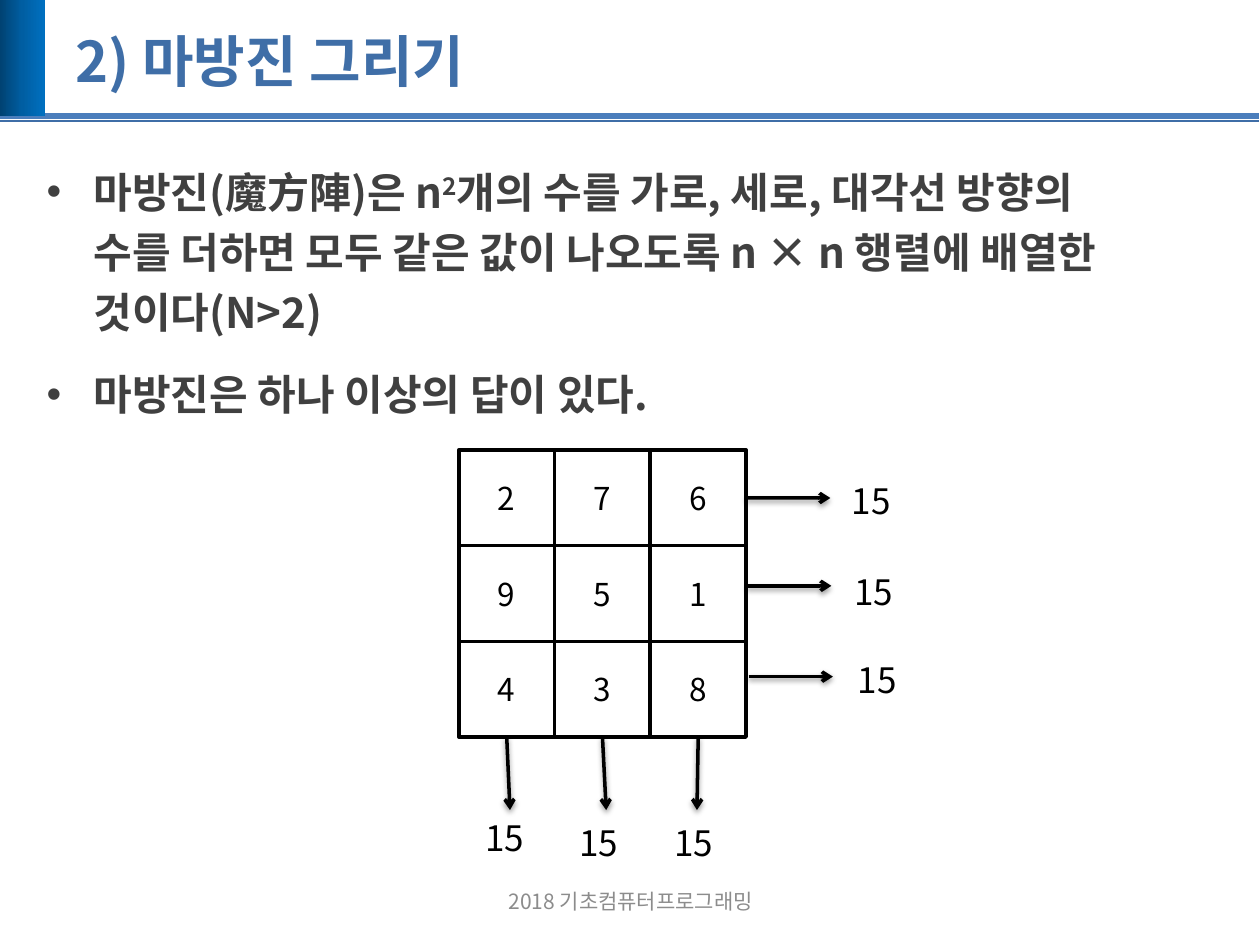
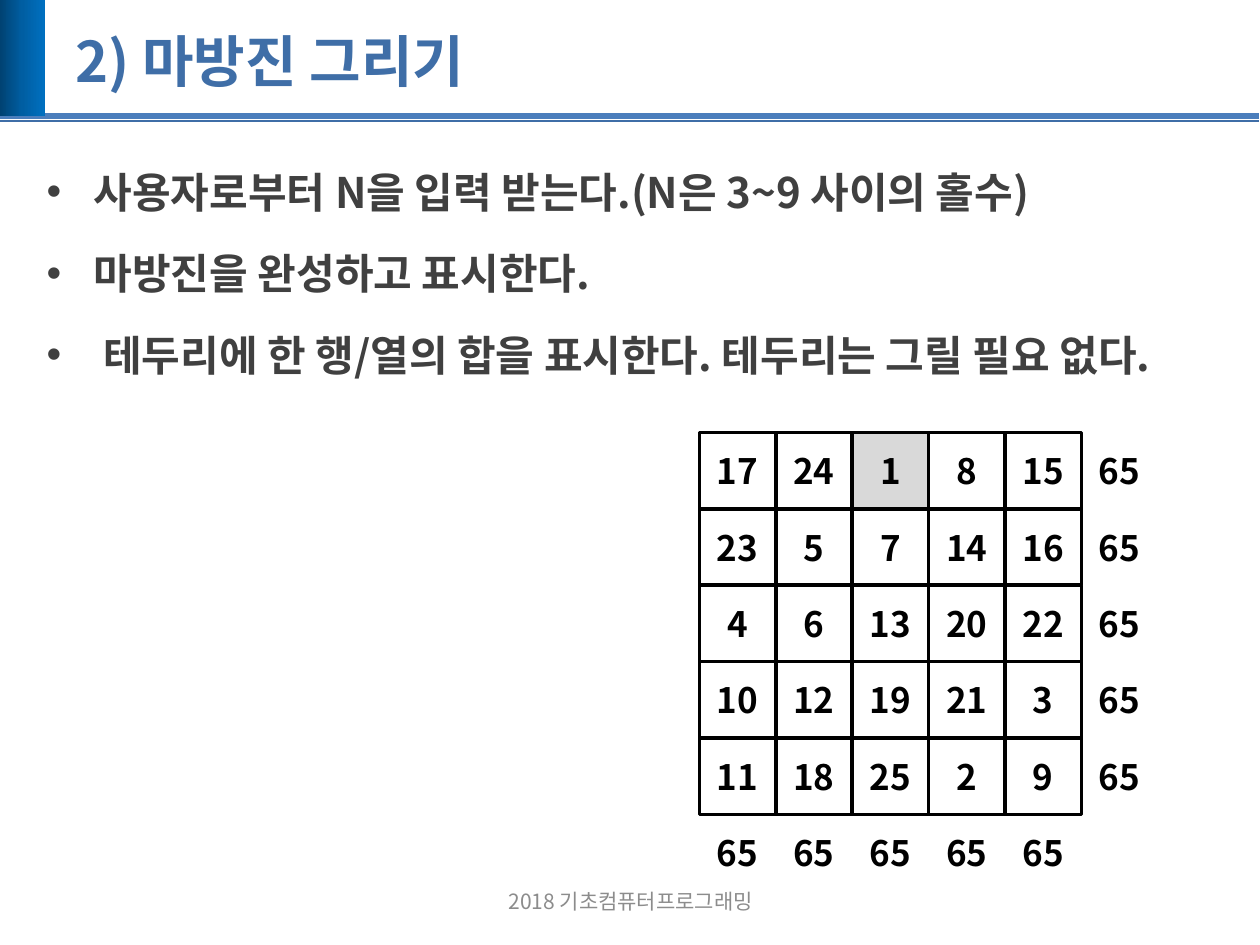
from copy import deepcopy

from lxml.etree import SubElement
from pptx import Presentation
from pptx.dml.color import RGBColor
from pptx.enum.shapes import MSO_CONNECTOR as Connector, MSO_SHAPE as Shape
from pptx.enum.text import MSO_ANCHOR as Anchor, PP_ALIGN as Align
from pptx.oxml.ns import qn
from pptx.util import Cm, Pt

# Shared style
FONT = "Noto Sans CJK KR"
TITLE_BLUE = RGBColor(0x3F, 0x6E, 0xA7)
RULE_BLUE = RGBColor(0x4B, 0x7E, 0xBC)
BAND_STOPS = [(0, RGBColor(0x00, 0x42, 0x72)),
              (0.5, RGBColor(0x00, 0x5E, 0xA2)),
              (1, RGBColor(0x00, 0x70, 0xC0))]
BODY_GRAY = RGBColor(0x40, 0x40, 0x40)
FOOTER_GRAY = RGBColor(0x8C, 0x8C, 0x8C)
START_GRAY = RGBColor(0xD9, 0xD9, 0xD9)
BLACK = RGBColor(0, 0, 0)
WHITE = RGBColor(0xFF, 0xFF, 0xFF)

TITLE = "2) 마방진 그리기"
FOOTER = "2018 기초컴퓨터프로그래밍"

# Slide content: a bullet is a list of (text, is_superscript) runs
DEFINITION_BULLETS = [
    [("마방진(魔方陣)은 n", False), ("2", True),
     ("개의 수를 가로, 세로, 대각선 방향의 수를 더하면 모두 같은 값이 "
      "나오도록 n × n 행렬에 배열한 것이다(N>2)", False)],
    [("마방진은 하나 이상의 답이 있다.", False)],
]
TASK_BULLETS = [
    [("사용자로부터 N을 입력 받는다.(N은 3~9 사이의 홀수)", False)],
    [("마방진을 완성하고 표시한다.", False)],
    [(" 테두리에 한 행/열의 합을 표시한다. 테두리는 그릴 필요 없다.", False)],
]
SQUARE_3 = [[2, 7, 6], [9, 5, 1], [4, 3, 8]]
SQUARE_5 = [[17, 24, 1, 8, 15], [23, 5, 7, 14, 16], [4, 6, 13, 20, 22],
            [10, 12, 19, 21, 3], [11, 18, 25, 2, 9]]


def style(paragraph, size, color, bold=False, align=Align.LEFT):
    paragraph.alignment = align
    font = paragraph.font
    font.size, font.bold = Pt(size), bold
    font.color.rgb = color
    font.name = FONT
    defaults = paragraph._p.pPr.find(qn("a:defRPr"))
    SubElement(defaults, qn("a:ea"), typeface=FONT)


def add_text(slide, text, left, top, width, height, size, color=BLACK,
             bold=False, align=Align.CENTER, anchor=Anchor.MIDDLE, wrap=True):
    box = slide.shapes.add_textbox(Cm(left), Cm(top), Cm(width), Cm(height))
    frame = box.text_frame
    frame.word_wrap, frame.vertical_anchor = wrap, anchor
    frame.text = text
    style(frame.paragraphs[0], size, color, bold, align)
    return box


def add_line(slide, start, end, color, width):
    x1, y1, x2, y2 = (Cm(value) for value in (*start, *end))
    line = slide.shapes.add_connector(Connector.STRAIGHT, x1, y1, x2, y2)
    line.line.color.rgb, line.line.width = color, Pt(width)
    SubElement(line._element.spPr, qn("a:effectLst"))
    return line


def add_arrow(slide, start, end):
    arrow = add_line(slide, start, end, BLACK, 2)
    properties = arrow._element.spPr
    SubElement(properties.find(qn("a:ln")), qn("a:tailEnd"), type="arrow")
    shadow = SubElement(properties.find(qn("a:effectLst")), qn("a:outerShdw"),
                        blurRad=str(Pt(3.1)), dist=str(Pt(1.6)),
                        dir="5400000", rotWithShape="0")
    color = SubElement(shadow, qn("a:srgbClr"), val="000000")
    SubElement(color, qn("a:alpha"), val="38000")
    return arrow


def add_rectangle(slide, left, top, width, height):
    shape = slide.shapes.add_shape(Shape.RECTANGLE, Cm(left), Cm(top),
                                   Cm(width), Cm(height))
    shape.shadow.inherit = False
    return shape


def add_frame(slide):
    """Rules, gradient band, title and footer."""
    add_line(slide, (-0.02, 2.34), (25.38, 2.34), RULE_BLUE, 3)
    add_line(slide, (-0.02, 2.44), (25.38, 2.44), TITLE_BLUE, 1)
    band = add_rectangle(slide, 0, 0, 0.9, 2.34)
    band.line.fill.background()
    band.fill.gradient()
    band.fill.gradient_angle = 0
    stop_list = band._element.spPr.find(".//" + qn("a:gsLst"))
    stop_list.insert(1, deepcopy(stop_list[0]))
    for stop, (position, color) in zip(band.fill.gradient_stops, BAND_STOPS):
        stop.position, stop.color.rgb = position, color
    add_text(slide, TITLE, 1.27, 0.53, 22.86, 1.37, 32, TITLE_BLUE,
             bold=True, align=Align.LEFT)
    add_text(slide, FOOTER, 8.69, 17.65, 8.05, 1.02, 12, FOOTER_GRAY)


def add_bullets(slide, bullets):
    box = slide.shapes.add_textbox(Cm(0.69), Cm(3.02), Cm(22.86), Cm(13.82))
    frame = box.text_frame
    frame.word_wrap = True
    for index, runs in enumerate(bullets):
        paragraph = frame.add_paragraph() if index else frame.paragraphs[0]
        for text, is_superscript in runs:
            run = paragraph.add_run()
            run.text = text
            if is_superscript:
                run._r.get_or_add_rPr().set("baseline", "30000")
        paragraph.line_spacing = 1.2
        paragraph.space_before = paragraph.space_after = Pt(6)
        properties = paragraph._p.get_or_add_pPr()
        properties.set("marL", str(Cm(0.95)))
        properties.set("indent", str(-Cm(0.95)))
        SubElement(properties, qn("a:buFont"), typeface="Arial")
        SubElement(properties, qn("a:buChar"), char="•")
        style(paragraph, 24, BODY_GRAY, bold=True)


def add_square(slide, numbers, left, top, side, size, bold=False, start=None):
    """Draw a magic square; the cell holding start is shaded."""
    cells = []
    for row, values in enumerate(numbers):
        cells.append([])
        for column, value in enumerate(values):
            cell = add_rectangle(slide, left + column * side,
                                 top + row * side, side, side)
            cell.fill.solid()
            cell.fill.fore_color.rgb = START_GRAY if value == start else WHITE
            cell.line.color.rgb, cell.line.width = BLACK, Pt(2)
            frame = cell.text_frame
            frame.vertical_anchor = Anchor.MIDDLE
            frame.text = str(value)
            style(frame.paragraphs[0], size, BLACK, bold, Align.CENTER)
            cells[row].append(cell)
    return cells


def add_arrow_sums(slide, cells):
    """Arrows from the 3 x 3 square to the sum of each row and column."""
    row_arrows = [((15.03, 10.04), (16.74, 10.04)),
                  ((15.06, 11.81), (16.76, 11.81)),
                  ((15.09, 13.64), (16.79, 13.64))]
    arrows = [add_arrow(slide, start, end) for start, end in row_arrows]
    arrows[0].begin_connect(cells[0][-1], 3)
    for cell, x in zip(cells[-1], (10.28, 12.22, 14.05)):
        add_arrow(slide, (x, 14.86), (x, 16.33)).begin_connect(cell, 2)
    for left, top in [(16.92, 9.55), (16.97, 11.38), (17.04, 13.16),
                      (9.53, 16.33), (11.43, 16.43), (13.34, 16.43)]:
        add_text(slide, "15", left, top, 1.37, 1.12, 20, align=Align.LEFT,
                 anchor=Anchor.TOP, wrap=False)


def add_border_sums(slide, numbers, left, top, side):
    """Sums in the border to the right of and below the square."""
    edge = len(numbers) * side
    for index, row in enumerate(numbers):
        add_text(slide, str(sum(row)), left + edge, top + index * side,
                 side, side, 20, bold=True)
    for index, column in enumerate(zip(*numbers)):
        add_text(slide, str(sum(column)), left + index * side, top + edge,
                 side, side, 20, bold=True)


def add_slide(presentation, bullets):
    slide = presentation.slides.add_slide(presentation.slide_layouts[6])
    add_frame(slide)
    add_bullets(slide, bullets)
    return slide


def main():
    presentation = Presentation()
    presentation.slide_width, presentation.slide_height = Cm(25.4), Cm(19.05)

    # Definition with a 3 x 3 square
    slide = add_slide(presentation, DEFINITION_BULLETS)
    cells = add_square(slide, SQUARE_3, 9.25, 9.07, 1.93, 18)
    add_arrow_sums(slide, cells)

    # Task with a 5 x 5 square
    slide = add_slide(presentation, TASK_BULLETS)
    place = (14.1, 8.72, 1.54)
    add_square(slide, SQUARE_5, *place, 20, bold=True, start=1)
    add_border_sums(slide, SQUARE_5, *place)

    presentation.save("out.pptx")


if __name__ == "__main__":
    main()
